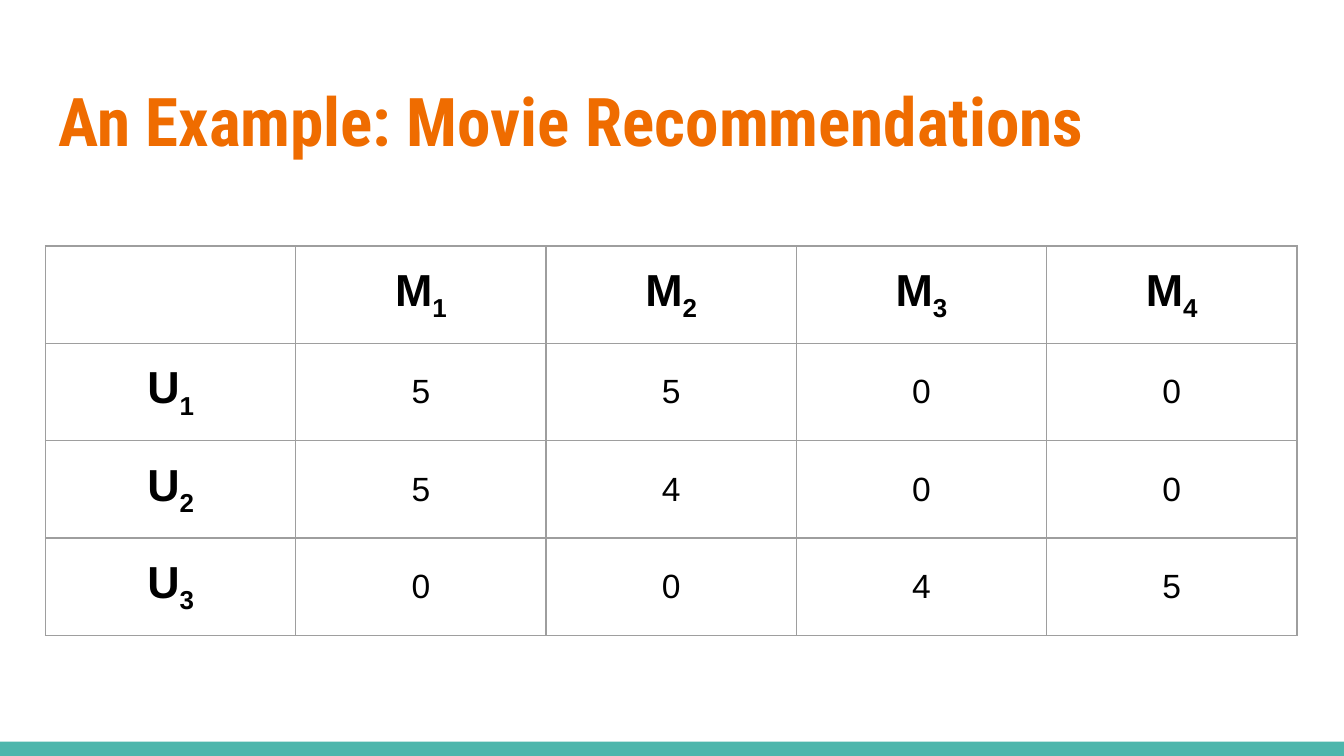
from lxml import etree
from pptx import Presentation
from pptx import util as u
from pptx.dml.color import RGBColor
from pptx.enum import shapes, text
from pptx.oxml.ns import qn


def color(code):
    return RGBColor.from_string(code)


class Deck:
    orange, teal, black, gray = "EF6C00", "4DB6AC", "000000", "9E9E9E"
    head, body = "Roboto Condensed", "Arial"
    pad = u.Cm(0.25)

    def __init__(self, width, height):
        self.prs = Presentation()
        self.prs.slide_width, self.prs.slide_height = u.Cm(width), u.Cm(height)
        self.slide = self.prs.slides.add_slide(self.prs.slide_layouts[5])

    def style(self, font, name, size, code, bold):
        font.name, font.size, font.bold = name, u.Pt(size), bold
        font.color.rgb = color(code)

    def bar(self, left, top, width, height):
        bar = self.slide.shapes.add_shape(
            shapes.MSO_SHAPE.RECTANGLE, *map(u.Cm, (left, top, width, height)))
        bar.shadow.inherit = False
        bar.fill.solid()
        bar.fill.fore_color.rgb = color(self.teal)
        bar.line.fill.background()

    def title(self, words, left, top, width, height):
        box = self.slide.shapes.title
        box.left, box.top, box.width, box.height = map(
            u.Cm, (left, top, width, height))
        frame = box.text_frame
        frame.text = words
        frame.word_wrap = True
        frame.auto_size = text.MSO_AUTO_SIZE.NONE
        frame.vertical_anchor = text.MSO_ANCHOR.TOP
        frame.margin_left = frame.margin_right = self.pad
        frame.margin_top = frame.margin_bottom = self.pad
        line = frame.paragraphs[0]
        line.alignment = text.PP_ALIGN.LEFT
        self.style(line.font, self.head, 36, self.orange, True)

    def border(self, cell):
        props = cell._tc.get_or_add_tcPr()
        for spot, side in enumerate(("a:lnL", "a:lnR", "a:lnT", "a:lnB")):
            line = etree.Element(qn(side), w=str(u.Pt(0.75)))
            fill = etree.SubElement(line, qn("a:solidFill"))
            etree.SubElement(fill, qn("a:srgbClr"), val=self.gray)
            props.insert(spot, line)

    def cell(self, cell, words, label):
        cell.fill.background()
        cell.vertical_anchor = text.MSO_ANCHOR.MIDDLE
        cell.margin_left = cell.margin_right = self.pad
        cell.margin_top = cell.margin_bottom = self.pad
        self.border(cell)
        line = cell.text_frame.paragraphs[0]
        line.alignment = text.PP_ALIGN.CENTER
        self.style(line.font, self.body, 24 if label else 18, self.black, label)
        # A label is a letter with a lowered index
        for spot, char in enumerate(words):
            run = line.add_run()
            run.text = char
            self.style(run.font, self.body, 24 if label else 18,
                       self.black, label)
            if spot:
                run.font._element.set("baseline", "-25000")

    def table(self, rows, left, top, width, height):
        count = len(rows[0])
        frame = self.slide.shapes.add_table(
            len(rows), count, u.Cm(left), u.Cm(top),
            u.Cm(width * count), u.Cm(height * len(rows)))
        grid = frame.table
        grid.first_row = grid.horz_banding = False
        for col in grid.columns:
            col.width = u.Cm(width)
        for r, row in enumerate(rows):
            grid.rows[r].height = u.Cm(height)
            for c, words in enumerate(row):
                self.cell(grid.cell(r, c), words, r == 0 or c == 0)


def main():
    deck = Deck(25.4, 14.29)

    # Footer band and title
    deck.bar(0, 14.02, 25.4, 0.27)
    deck.title("An Example: Movie Recommendations", 0.86, 1.24, 23.67, 1.96)

    # Ratings of movies (M) by users (U)
    ratings = ["5500", "5400", "0045"]
    rows = [["", "M1", "M2", "M3", "M4"]]
    rows += [[f"U{n}", *marks] for n, marks in enumerate(ratings, 1)]
    deck.table(rows, 0.86, 4.65, 4.73, 1.84)

    deck.prs.save("out.pptx")


if __name__ == "__main__":
    main()
